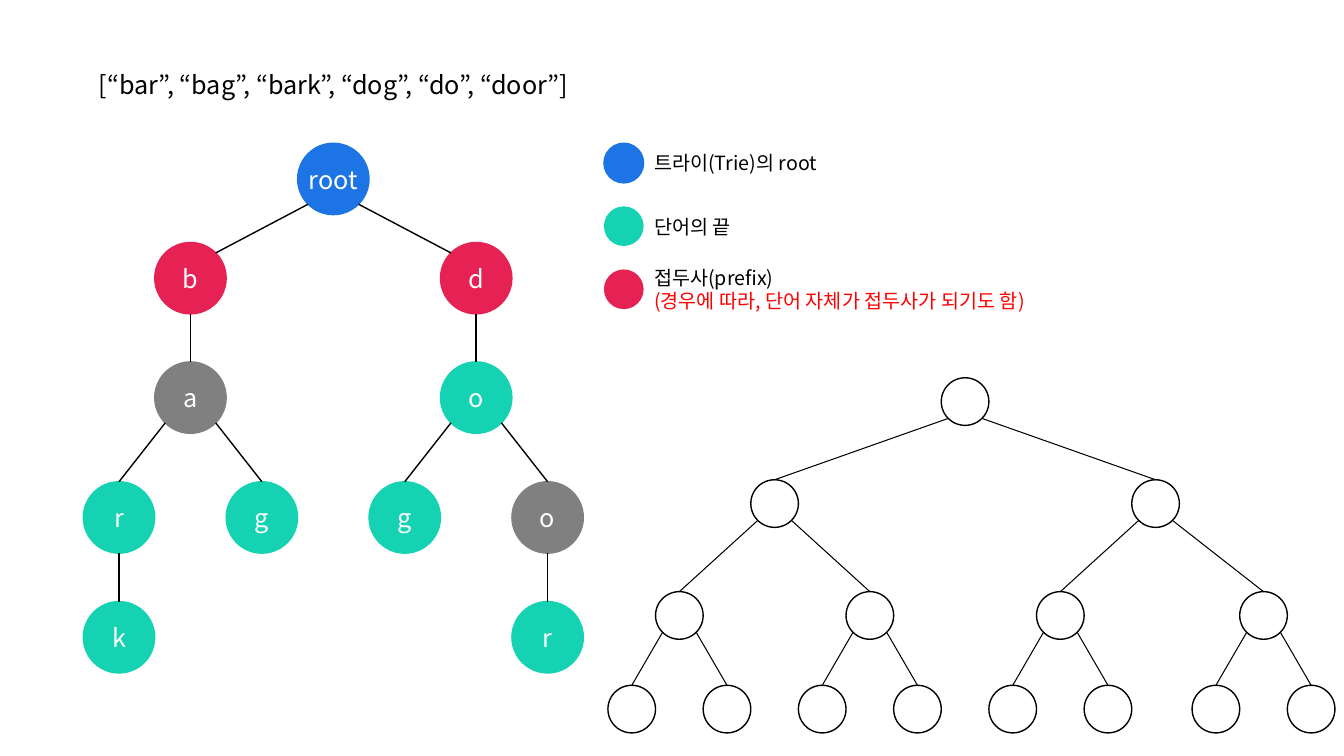
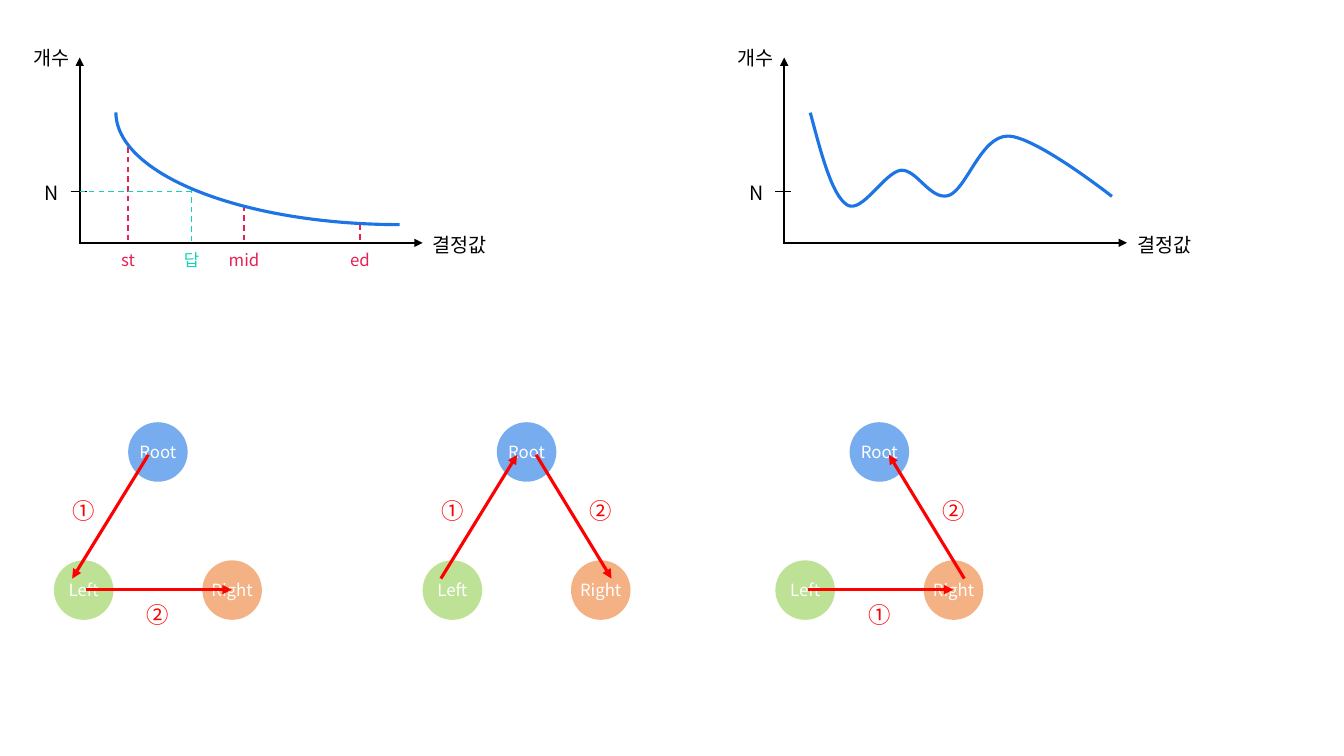
from dataclasses import dataclass
from math import copysign, sqrt

from lxml.etree import SubElement
from pptx import Presentation
from pptx.dml.color import RGBColor as RGB
from pptx.enum.dml import MSO_LINE_DASH_STYLE as Dash
from pptx.enum.shapes import MSO_CONNECTOR as Conn, MSO_SHAPE as Shape
from pptx.enum.text import MSO_ANCHOR as Anchor, PP_ALIGN as Align
from pptx.oxml.ns import qn
from pptx.util import Inches, Pt


@dataclass(frozen=True)
class Theme:
    """Colours, font, type sizes and line widths of the deck."""
    font: str = "Noto Sans CJK KR"
    black: str = "000000"
    white: str = "FFFFFF"
    blue: str = "1D75E5"
    teal: str = "15D3B2"
    pink: str = "E62154"
    gray: str = "808080"
    red: str = "FF0000"
    green: str = "92D050"
    orange: str = "ED7D31"
    head: int = 18
    mark: int = 16
    body: int = 14
    small: int = 12
    hair: float = 0.75
    thin: float = 1
    axis: float = 1.5
    bold: float = 2.25


T = Theme()
WIDTH, HEIGHT = Inches(13.333), Inches(7.5)
COLS = 338.67
CELL = WIDTH / COLS


def grid(*cells):
    """Turn grid columns or rows into lengths."""
    return [round(c * CELL) for c in cells]


def put(obj, values):
    """Set each attribute named in a dict of format values."""
    for name, value in values.items():
        setattr(obj, name, value)


def paint(fill, color, alpha=None):
    """Fill with one colour, or with nothing, at an optional opacity."""
    if color is None:
        fill.background()
        return
    fill.solid()
    fill.fore_color.rgb = RGB.from_string(color)
    if alpha:
        node = fill._xPr.find(qn("a:solidFill"))[0]
        SubElement(node, qn("a:alpha"), val=str(alpha * 1000))


def stroke(line, color, width=T.thin, dash=None):
    """Style a line, or hide it when it has no colour."""
    paint(line.fill, color)
    if color:
        put(line, {"width": Pt(width)})
    if dash:
        line.dash_style = dash


def write(r, text, size, color):
    """Put styled text into a run."""
    r.text = text
    put(r.font, {"size": Pt(size), "name": T.font})
    r.font.color.rgb = RGB.from_string(color)
    SubElement(r.font._element, qn("a:ea"), typeface=T.font)


def label(sp, at, runs, size, align=Align.CENTER, anchor=Anchor.TOP, inset=1, wrap=False):
    """Add a text box whose runs stand on lines of their own."""
    tf = sp.add_textbox(*grid(*at)).text_frame
    side, edge = grid(inset, min(inset, 1.27))
    put(tf, {"word_wrap": wrap, "vertical_anchor": anchor, "margin_left": side,
             "margin_right": side, "margin_top": edge, "margin_bottom": edge})
    p = tf.paragraphs[0]
    p.alignment = align
    for i, (text, color) in enumerate(runs):
        if i:
            p.add_line_break()
        write(p.add_run(), text, size, color)


def circle(sp, center, size, fill=None, line=None, text="", type_size=T.head, alpha=None):
    """Add a circle around a grid point, with optional centred text."""
    x, y = center
    node = sp.add_shape(Shape.OVAL, *grid(x - size / 2, y - size / 2, size, size))
    node.shadow.inherit = False
    paint(node.fill, fill, alpha)
    stroke(node.line, line)
    if text:
        tf = node.text_frame
        put(tf, {"margin_left": 0, "margin_right": 0, "margin_top": 0, "margin_bottom": 0,
                 "vertical_anchor": Anchor.MIDDLE, "word_wrap": True})
        p = tf.paragraphs[0]
        p.alignment = Align.CENTER
        write(p.add_run(), text, type_size, T.white)


def link(sp, start, end, color=T.black, width=T.thin, dash=None, arrow=False):
    """Add a straight line between two grid points."""
    c = sp.add_connector(Conn.STRAIGHT, *grid(*start, *end))
    stroke(c.line, color, width, dash)
    if arrow:
        SubElement(c.line._get_or_add_ln(), qn("a:tailEnd"), type="triangle")
    SubElement(c._element.spPr, qn("a:effectLst"))


def branch(sp, parent, child, size, width, corner=False):
    """Join a parent circle to the top, or the inner corner, of its child."""
    (px, py), (cx, cy) = parent, child
    half, diag = size / 2, size / 2 / sqrt(2)
    if px == cx:
        link(sp, (px, py + half), (cx, cy - half), width=width)
        return
    side = copysign(diag, cx - px)
    end = (cx - side, cy - diag) if corner else (cx, cy - half)
    link(sp, (px + side, py + diag), end, width=width)


def trie(sp):
    """Draw the trie of the six words."""
    size, row = 18, [45.1, 70.1, 100.2, 130.4, 160.6]
    nodes = [("root", 3, 0, T.blue, None), ("b", 1, 1, T.pink, 0), ("d", 5, 1, T.pink, 0),
             ("a", 1, 2, T.gray, 1), ("o", 5, 2, T.teal, 2), ("r", 0, 3, T.teal, 3),
             ("g", 2, 3, T.teal, 3), ("g", 4, 3, T.teal, 4), ("o", 6, 3, T.gray, 4),
             ("k", 0, 4, T.teal, 5), ("r", 6, 4, T.teal, 8)]
    spots = [(30 + size * col, row[level]) for _, col, level, _, _ in nodes]
    for (text, _, level, color, parent), spot in zip(nodes, spots):
        circle(sp, spot, size, color, color, text)
        if parent is not None:
            branch(sp, spots[parent], spot, size, T.thin, corner=level == 1)


def legend(sp):
    """Explain the node colours."""
    rows = [(T.blue, 72, [("트라이(Trie)의 root", T.black)]),
            (T.teal, 89, [("단어의 끝", T.black)]),
            (T.pink, 102, [("접두사(prefix)", T.black),
                           ("(경우에 따라, 단어 자체가 접두사가 되기도 함)", T.red)])]
    for i, (color, width, runs) in enumerate(rows):
        y = 41.1 + 15.9 * i
        group = sp.add_group_shape().shapes
        circle(group, (157.2, y), 10, color, color if i == 0 else None)
        label(group, (162.3, y - 5, width, 10), runs, T.body, Align.LEFT,
              Anchor.MIDDLE, inset=2.54, wrap=True)


def binary_tree(sp):
    """Draw the empty tree of four full levels."""
    size, row = 12, [101.2, 126.9, 155.1, 178.7]
    spread = [(-48, 48), (-24, 24), (-12, 12)]

    def grow(x, level):
        """Draw one node and everything under it."""
        circle(sp, (x, row[level]), size, line=T.black)
        if level == len(spread):
            return
        for step in spread[level]:
            child = x + step
            if level == 1 and x > 243.2 and step > 0:
                child += 3.2
            branch(sp, (x, row[level]), (child, row[level + 1]), size, T.hair)
            grow(child, level + 1)

    grow(243.2, 0)


def axes(sp, x):
    """Draw the axes of one graph, with their names and the N tick."""
    base, n_row = 61.2, 48.3
    link(sp, (x, base), (x + 86.4, base), width=T.axis, arrow=True)
    link(sp, (x, base + 0.2), (x, 14.5), width=T.axis, arrow=True)
    link(sp, (x - 2.3, n_row), (x + 1.8, n_row), width=T.hair)
    for text, dx, y, width in [("개수", -14.4, 10.7, 14.4), ("결정값", 86.4, 57.6, 18.8),
                               ("N", -12, 44.5, 9.9)]:
        label(sp, (x + dx, y, width, 7.4), [(text, T.black)], T.body)


def falling_graph(sp, x):
    """Draw the falling curve with its search bounds."""
    axes(sp, x)
    for text, dx, top, color in [("st", 12.2, 37.1, T.pink), ("답", 28.2, 47.2, T.teal),
                                 ("mid", 41.4, 51.8, T.pink), ("ed", 70.6, 56.6, T.pink)]:
        link(sp, (x + dx, top), (x + dx, 61.2), color, dash=Dash.DASH)
        label(sp, (x + dx - 8.4, 62, 16.8, 7.4), [(text, color)], T.small)
    arc = sp.add_shape(Shape.ARC, *grid(x + 9.1, 0, 143, 56.6))
    put(arc, {"rotation": 180})
    arc.shadow.inherit = False
    paint(arc.fill, None)
    stroke(arc.line, T.blue, T.bold)
    link(sp, (x + 28.2, 48.3), (x, 48.3), T.teal, dash=Dash.DASH)


def wavy_graph(sp, x):
    """Draw the curve that crosses N several times."""
    axes(sp, x)
    knots = [(6.6, 28.4), (9.4, 38.9), (12, 49), (15.8, 51.6), (19.6, 54.1), (25.2, 43.4),
             (29.5, 42.9), (33.5, 42.7), (36.8, 50.5), (41.4, 49.3), (46, 47.8),
             (49.5, 34.3), (56.4, 34.3), (63.3, 34.3), (82.6, 49.5), (82.6, 49.5)]
    points = [tuple(grid(x + dx, y)) for dx, y in knots]
    pen = sp.build_freeform(*points[0])
    pen.add_line_segments(points[1:], close=False)
    curve = pen.convert_to_shape()
    curve.shadow.inherit = False
    outline = next(curve._element.iter(qn("a:path")))
    steps = outline.findall(qn("a:lnTo"))
    for i in range(0, len(steps), 3):
        bend = SubElement(outline, qn("a:cubicBezTo"))
        for step in steps[i:i + 3]:
            bend.append(step[0])
            outline.remove(step)
    curve.height = grid(23.6)[0]
    outline.set("h", str(curve.height))
    paint(curve.fill, None)
    stroke(curve.line, T.blue, T.bold)


def traversal(sp, x, moves):
    """Draw three nodes and the numbered moves between them."""
    for text, dx, y, color in [("Root", 0, 113.9, T.blue), ("Left", -18.7, 148.7, T.green),
                               ("Right", 18.7, 148.7, T.orange)]:
        circle(sp, (x + dx, y), 15, color, text=text, type_size=T.small, alpha=60)
    top, low, base = 114.6, 145.8, 148.6
    sides = {"left": ((-2.4, top), (-21.6, low), (-18.7, 124.2)),
             "right": ((2.4, top), (21.4, low), (18.7, 124.2)),
             "base": ((-18, base), (18.6, base), (0, 150.4))}
    for number, (side, back) in zip("①②", moves):
        start, end, (dx, y) = sides[side]
        if back:
            start, end = end, start
        link(sp, (x + start[0], start[1]), (x + end[0], end[1]), T.red, T.bold, arrow=True)
        label(sp, (x + dx - 8.4, y, 16.8, 7.4), [(number, T.red)], T.mark)


def main():
    """Build and save the two slides."""
    prs = Presentation()
    put(prs, {"slide_width": WIDTH, "slide_height": HEIGHT})
    blank = prs.slide_layouts[6]

    sp = prs.slides.add_slide(blank).shapes
    label(sp, (20.3, 16.3, 127.5, 9.9),
          [("[“bar”, “bag”, “bark”, “dog”, “do”, “door”]", T.black)],
          T.head, anchor=Anchor.MIDDLE, inset=2.54, wrap=True)
    trie(sp)
    legend(sp)
    binary_tree(sp.add_group_shape().shapes)

    sp = prs.slides.add_slide(blank).shapes
    falling_graph(sp, 20.1)
    wavy_graph(sp, 197.6)
    for x, moves in [(39.8, [("left", False), ("base", False)]),
                     (132.7, [("left", True), ("right", False)]),
                     (221.6, [("base", False), ("right", True)])]:
        traversal(sp, x, moves)
    prs.save("out.pptx")


if __name__ == "__main__":
    main()
